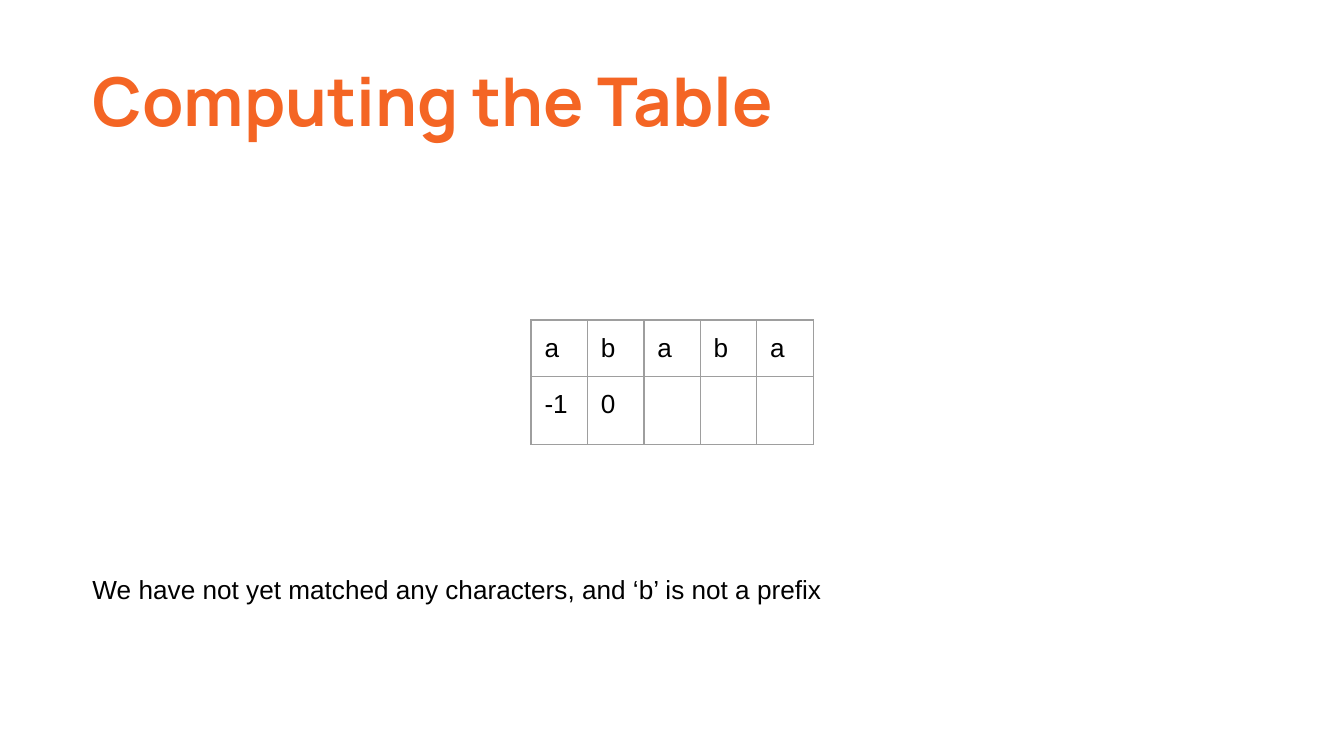
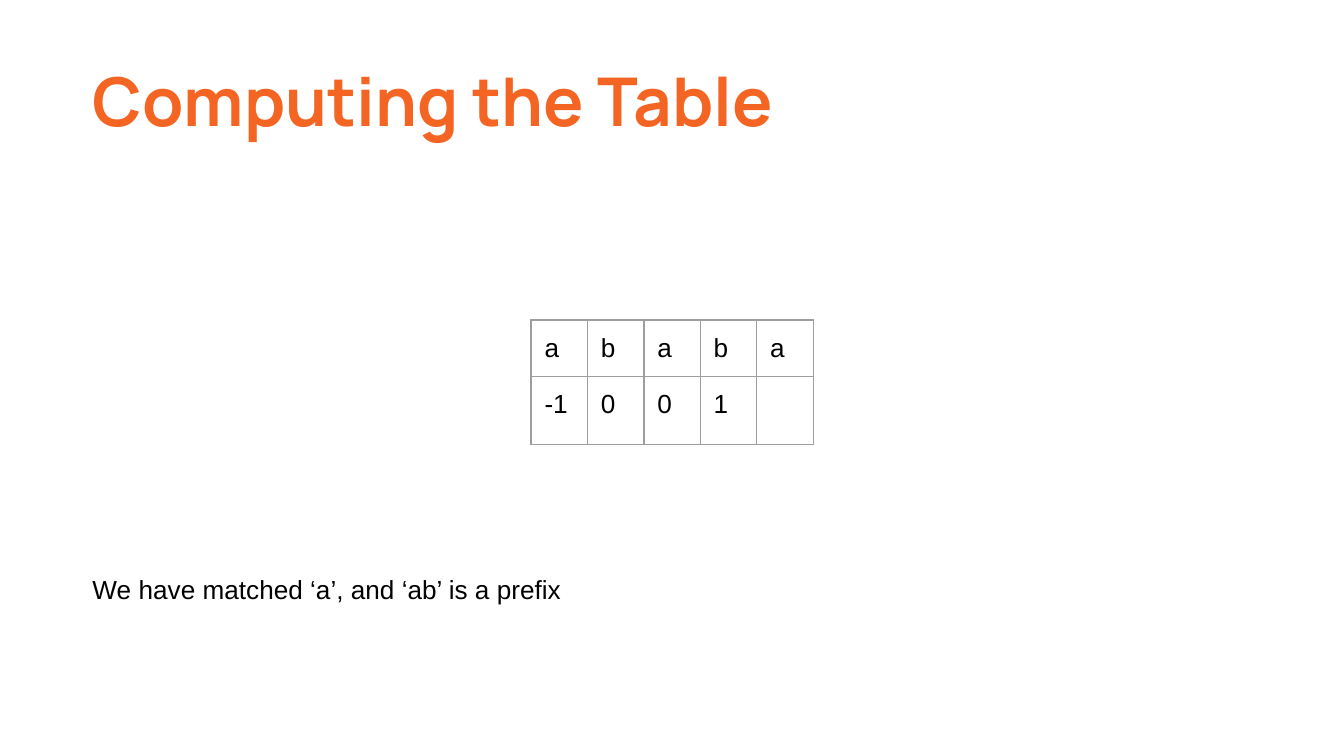
from dataclasses import dataclass

import pptx
import pptx.dml.color
import pptx.enum.text
import pptx.oxml
import pptx.oxml.ns
import pptx.presentation
import pptx.slide
import pptx.table
import pptx.text.text
import pptx.util
from pptx.dml.color import RGBColor
from pptx.util import Pt

ORANGE = RGBColor(0xF4, 0x65, 0x24)
BLACK = RGBColor(0x00, 0x00, 0x00)
GREY = RGBColor(0x9E, 0x9E, 0x9E)

TITLE_FONT = "Manrope"
BODY_FONT = "Arial"
INSET = Pt(7.2)
CELL_SIZE = Pt(30.24)
BORDER_WIDTH = Pt(0.75)
TITLE_ONLY_LAYOUT = 5

TITLE = "Computing the Table"
PATTERN = "ababa"


@dataclass(frozen=True)
class Box:
    left: pptx.util.Length
    top: pptx.util.Length
    width: pptx.util.Length
    height: pptx.util.Length


@dataclass(frozen=True)
class Step:
    prefix_values: tuple[str, ...]
    explanation: str


TITLE_BOX = Box(Pt(42.5), Pt(23), Pt(633.6), Pt(60.5))
EXPLANATION_BOX = Box(Pt(42.5), Pt(300.2), Pt(633.6), Pt(77))
TABLE_LEFT, TABLE_TOP = Pt(284.5), Pt(171.4)

STEPS = (
    Step(("-1", "0"), "We have not yet matched any characters, and ‘b’ is not a prefix"),
    Step(("-1", "0", "0", "1"), "We have matched ‘a’, and ‘ab’ is a prefix"),
)


def write_text(
    frame: pptx.text.text.TextFrame,
    text: str,
    *,
    font: str = BODY_FONT,
    size: float = 14,
    color: RGBColor = BLACK,
    bold: bool = False,
    space_after: float = 0,
) -> None:
    paragraph = frame.paragraphs[0]
    paragraph.alignment = pptx.enum.text.PP_ALIGN.LEFT
    paragraph.space_after = Pt(space_after)
    run = paragraph.add_run()
    run.text = text
    run.font.name = font
    run.font.size = Pt(size)
    run.font.bold = bold
    run.font.color.rgb = color


def set_frame(
    frame: pptx.text.text.TextFrame, anchor: pptx.enum.text.MSO_ANCHOR
) -> None:
    frame.word_wrap = True
    frame.auto_size = pptx.enum.text.MSO_AUTO_SIZE.NONE
    frame.vertical_anchor = anchor
    frame.margin_left = frame.margin_right = INSET
    frame.margin_top = frame.margin_bottom = INSET


def add_title(slide: pptx.slide.Slide) -> None:
    title = slide.shapes.title
    title.left, title.top = TITLE_BOX.left, TITLE_BOX.top
    title.width, title.height = TITLE_BOX.width, TITLE_BOX.height
    set_frame(title.text_frame, pptx.enum.text.MSO_ANCHOR.MIDDLE)
    write_text(title.text_frame, TITLE, font=TITLE_FONT, size=36,
               color=ORANGE, bold=True, space_after=16)


def add_explanation(slide: pptx.slide.Slide, text: str) -> None:
    box = EXPLANATION_BOX
    shape = slide.shapes.add_textbox(box.left, box.top, box.width, box.height)
    set_frame(shape.text_frame, pptx.enum.text.MSO_ANCHOR.TOP)
    write_text(shape.text_frame, text)


def set_borders(cell: pptx.table._Cell) -> None:
    properties = cell._tc.get_or_add_tcPr()
    for position, side in enumerate(("lnL", "lnR", "lnT", "lnB")):
        border = pptx.oxml.parse_xml(
            f'<a:{side} {pptx.oxml.ns.nsdecls("a")} w="{BORDER_WIDTH}">'
            f'<a:solidFill><a:srgbClr val="{GREY}"/></a:solidFill>'
            f'<a:prstDash val="solid"/></a:{side}>'
        )
        properties.insert(position, border)


def add_prefix_table(slide: pptx.slide.Slide, values: tuple[str, ...]) -> None:
    rows = (tuple(PATTERN), values)
    table = slide.shapes.add_table(
        len(rows), len(PATTERN), TABLE_LEFT, TABLE_TOP,
        CELL_SIZE * len(PATTERN), CELL_SIZE * len(rows),
    ).table
    table.first_row = table.horz_banding = False
    for line in (*table.columns,):
        line.width = CELL_SIZE
    for line in table.rows:
        line.height = CELL_SIZE
    for cell in table.iter_cells():
        cell.margin_left = cell.margin_right = INSET
        cell.margin_top = cell.margin_bottom = INSET
        cell.fill.background()
        set_borders(cell)
    for row, texts in enumerate(rows):
        for column, text in enumerate(texts):
            write_text(table.cell(row, column).text_frame, text)


def add_step_slide(
    presentation: pptx.presentation.Presentation, step: Step
) -> None:
    layout = presentation.slide_layouts[TITLE_ONLY_LAYOUT]
    slide = presentation.slides.add_slide(layout)
    add_title(slide)
    add_prefix_table(slide, step.prefix_values)
    add_explanation(slide, step.explanation)


def main() -> None:
    presentation = pptx.Presentation()
    presentation.slide_width = Pt(720)
    presentation.slide_height = Pt(405)
    for step in STEPS:
        add_step_slide(presentation, step)
    presentation.save("out.pptx")


if __name__ == "__main__":
    main()
